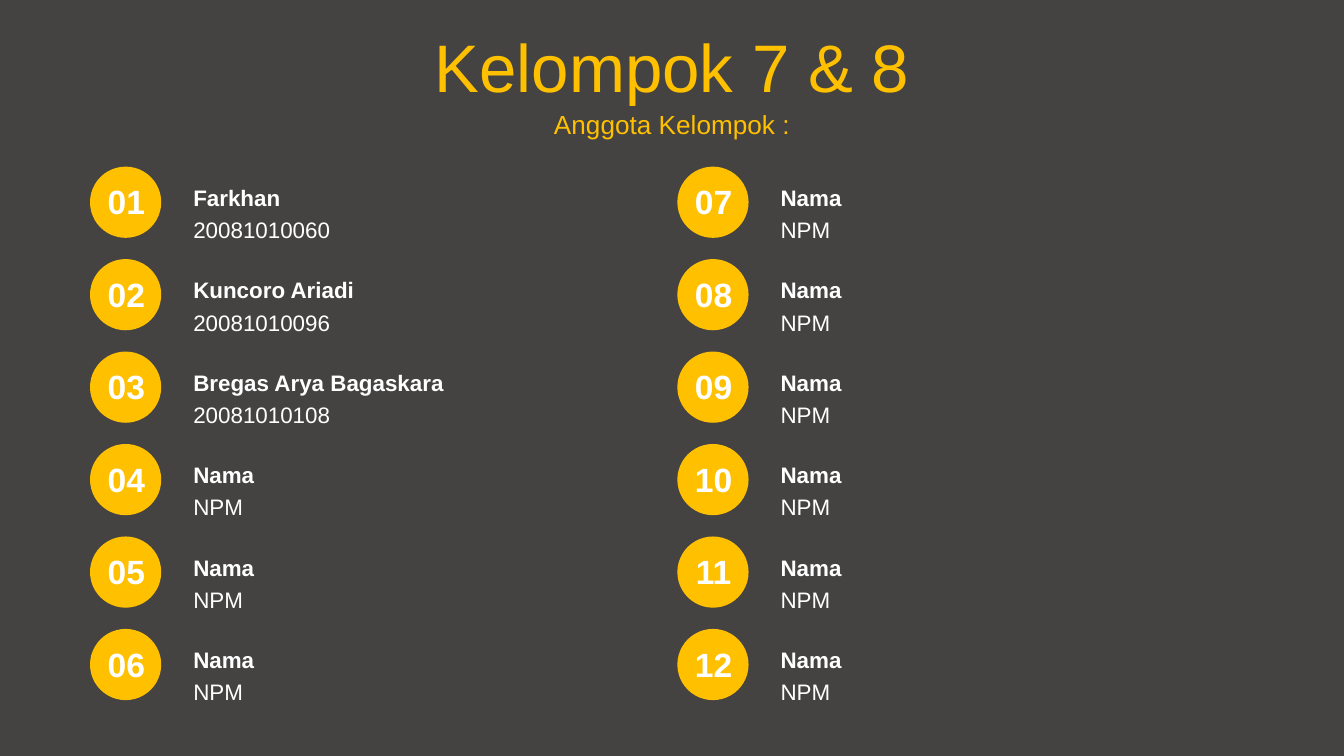
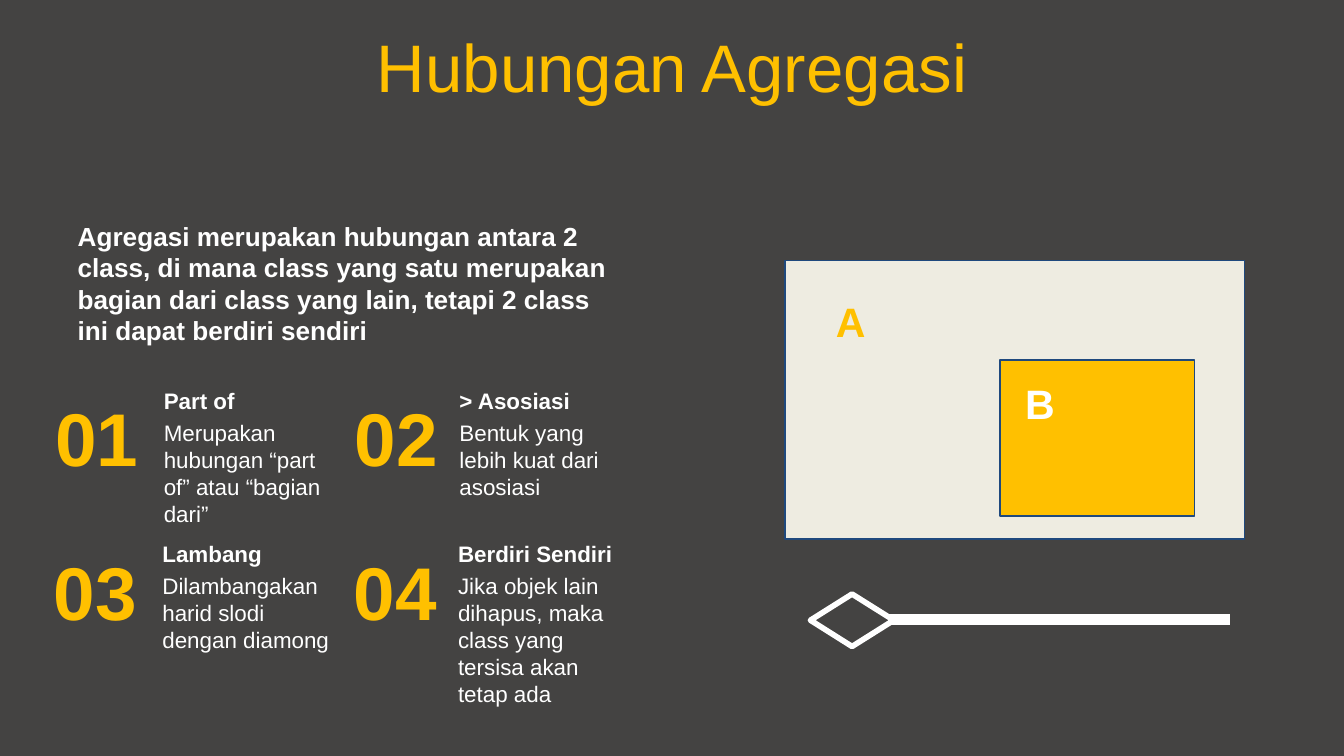
"""Build two dark slides: a group member list and an explanation of aggregation."""
from dataclasses import dataclass
from typing import NamedTuple

from lxml.etree import SubElement
from pptx import Presentation
from pptx.dml.color import RGBColor
from pptx.enum.shapes import MSO_CONNECTOR as Connector, MSO_SHAPE as Preset
from pptx.enum.text import MSO_ANCHOR as Anchor, MSO_AUTO_SIZE as AutoSize, PP_ALIGN as Align
from pptx.oxml.ns import qn
from pptx.shapes.autoshape import Shape
from pptx.shapes.shapetree import _BaseGroupShapes as ShapeTree
from pptx.slide import Slide
from pptx.util import Inches, Pt


@dataclass(frozen=True)
class Theme:
    """Colours, font and type sizes of the deck."""
    background: RGBColor = RGBColor(0x44, 0x43, 0x42)
    accent: RGBColor = RGBColor(0xFF, 0xC0, 0x00)
    light: RGBColor = RGBColor(0xFF, 0xFF, 0xFF)
    panel: RGBColor = RGBColor(0xEE, 0xEC, 0xE1)
    outline: RGBColor = RGBColor(0x1F, 0x49, 0x7D)
    font: str = "Arial"
    title: int = 36
    lead: int = 14
    body: int = 12
    badge: int = 18
    big_number: int = 40
    class_label: int = 22


class Box(NamedTuple):
    """Position and size in inches."""
    left: float
    top: float
    width: float
    height: float

    def lengths(self) -> tuple[Inches, ...]:
        """Give the four values as lengths."""
        return tuple(Inches(value) for value in self)


class TextStyle(NamedTuple):
    """Size, colour and alignment of one text."""
    size: int
    color: RGBColor
    bold: bool = False
    align: Align = Align.LEFT


class Member(NamedTuple):
    """One member of the group."""
    name: str = "Nama"
    student_id: str = "NPM"


class Trait(NamedTuple):
    """One property of aggregation and the lines its text takes."""
    heading: str
    detail: str
    lines: int


class ClassBlock(NamedTuple):
    """A class rectangle with its fill."""
    box: Box
    fill: RGBColor


class ClassLabel(NamedTuple):
    """The letter naming a class."""
    letter: str
    left: float
    top: float
    color: RGBColor


THEME = Theme()
TITLE = TextStyle(THEME.title, THEME.accent, align=Align.CENTER)
SUBTITLE = TextStyle(THEME.lead, THEME.accent, align=Align.CENTER)
LEAD = TextStyle(THEME.lead, THEME.light, bold=True)
HEADING = TextStyle(THEME.body, THEME.light, bold=True)
DETAIL = TextStyle(THEME.body, THEME.light)
BADGE = TextStyle(THEME.badge, THEME.light, True, Align.CENTER)
BIG_NUMBER = TextStyle(THEME.big_number, THEME.accent, True, Align.CENTER)

SLIDE_WIDTH = Inches(10)
SLIDE_HEIGHT = SLIDE_WIDTH * 9 // 16
TITLE_BOX = Box(0, 0.17, 10, 0.63)
SUBTITLE_BOX = Box(0, 0.77, 10, 0.31)
LINE_HEIGHT = 0.3
EXTRA_LINE = 0.2
DETAIL_DROP = 0.24

MEMBERS = [
    Member("Farkhan", "20081010060"),
    Member("Kuncoro Ariadi", "20081010096"),
    Member("Bregas Arya Bagaskara", "20081010108"),
    *[Member()] * 9,
]
MEMBER_ROWS = 6
MEMBER_LEFTS = (0.67, 5.04)
FIRST_MEMBER_TOP, LAST_MEMBER_TOP = 1.24, 4.68
BADGE_SIZE = 0.53

DEFINITION = (
    "Agregasi merupakan hubungan antara 2 class, di mana class yang satu merupakan "
    "bagian dari class yang lain, tetapi 2 class ini dapat berdiri sendiri"
)
TRAITS = [
    Trait("Part of", "Merupakan hubungan “part of” atau “bagian dari”", 4),
    Trait("> Asosiasi", "Bentuk yang lebih kuat dari asosiasi", 3),
    Trait("Lambang", "Dilambangakan harid slodi dengan diamong", 3),
    Trait("Berdiri Sendiri", "Jika objek lain dihapus, maka class yang tersisa akan tetap ada", 5),
]
CLASS_BLOCKS = [
    ClassBlock(Box(5.84, 1.94, 3.42, 2.07), THEME.panel),
    ClassBlock(Box(7.44, 2.68, 1.45, 1.16), THEME.accent),
]
CLASS_LABELS = [
    ClassLabel("A", 6.12, 2.16, THEME.accent),
    ClassLabel("B", 7.53, 2.77, THEME.light),
]


def write_text(holder: Shape, text: str, style: TextStyle) -> None:
    """Write one styled run into the first paragraph."""
    paragraph = holder.text_frame.paragraphs[0]
    paragraph.alignment = style.align
    paragraph.space_before = Pt(0)
    run = paragraph.add_run()
    run.text = text
    run.font.name = THEME.font
    run.font.size = Pt(style.size)
    run.font.bold = style.bold
    run.font.color.rgb = style.color


def add_text(shapes: ShapeTree, box: Box, text: str, style: TextStyle) -> None:
    """Add a wrapping text box that grows with its text."""
    holder = shapes.add_textbox(*box.lengths())
    holder.text_frame.word_wrap = True
    holder.text_frame.auto_size = AutoSize.SHAPE_TO_FIT_TEXT
    write_text(holder, text, style)


def fill_placeholder(holder: Shape, box: Box, text: str, style: TextStyle) -> None:
    """Move a template placeholder and write its text."""
    holder.left, holder.top, holder.width, holder.height = box.lengths()
    holder.text_frame.vertical_anchor = Anchor.MIDDLE
    holder.text_frame.auto_size = AutoSize.NONE
    write_text(holder, text, style)


def add_preset(slide: Slide, preset: Preset, box: Box, fill: RGBColor,
               outline: RGBColor | None = None, weight: float = 0.75) -> None:
    """Add a flat preset shape, outlined if a colour is given."""
    shape = slide.shapes.add_shape(preset, *box.lengths())
    shape.shadow.inherit = False
    shape.fill.solid()
    shape.fill.fore_color.rgb = fill
    if outline is None:
        shape.line.fill.background()
    else:
        shape.line.color.rgb = outline
        shape.line.width = Pt(weight)


def add_caption(slide: Slide, left: float, top: float, width: float,
                heading: str, detail: str, lines: int = 1) -> None:
    """Add a grouped bold heading with its detail below."""
    caption = slide.shapes.add_group_shape().shapes
    detail_height = LINE_HEIGHT + EXTRA_LINE * (lines - 1)
    add_text(caption, Box(left, top + DETAIL_DROP, width, detail_height), detail, DETAIL)
    add_text(caption, Box(left, top, width, LINE_HEIGHT), heading, HEADING)


def add_member(slide: Slide, index: int, member: Member) -> None:
    """Add one numbered member at its place in the two columns."""
    column, row = divmod(index, MEMBER_ROWS)
    left = MEMBER_LEFTS[column]
    top = FIRST_MEMBER_TOP + row * (LAST_MEMBER_TOP - FIRST_MEMBER_TOP) / (MEMBER_ROWS - 1)
    add_caption(slide, left + 0.67, top + 0.08, 2.86, member.name, member.student_id)
    add_preset(slide, Preset.OVAL, Box(left, top, BADGE_SIZE, BADGE_SIZE), THEME.accent)
    add_text(slide.shapes, Box(left - 0.03, top + 0.06, 0.6, 0.4), f"{index + 1:02}", BADGE)


def add_trait(slide: Slide, index: int, trait: Trait) -> None:
    """Add one numbered trait at its place in the two by two grid."""
    row, column = divmod(index, 2)
    top = 2.83 + 1.14 * row
    indent = -0.01 * row
    add_caption(slide, 1.12 + 2.2 * column + indent, top, 1.45, *trait)
    number_box = Box(0.23 + 2.23 * column + indent, top + 0.04, 0.98, 0.77)
    add_text(slide.shapes, number_box, f"{index + 1:02}", BIG_NUMBER)


def add_aggregation_symbol(slide: Slide) -> None:
    """Draw the aggregation line with its hollow diamond."""
    axis = Inches(4.61)
    relation = slide.shapes.add_connector(
        Connector.STRAIGHT, Inches(6.56), axis, Inches(9.15), axis)
    relation.line.color.rgb = THEME.light
    relation.line.width = Pt(6)
    SubElement(relation._element.spPr, qn("a:effectLst"))
    add_preset(slide, Preset.DIAMOND, Box(6.03, 4.42, 0.62, 0.39),
               THEME.background, THEME.light, 3)


def build_members(slide: Slide) -> None:
    """Fill the slide that lists the group members."""
    fill_placeholder(slide.shapes.title, TITLE_BOX, "Kelompok 7 & 8", TITLE)
    fill_placeholder(slide.placeholders[1], SUBTITLE_BOX, "Anggota Kelompok :", SUBTITLE)
    for index, member in enumerate(MEMBERS):
        add_member(slide, index, member)


def build_aggregation(slide: Slide) -> None:
    """Fill the slide that explains aggregation."""
    fill_placeholder(slide.shapes.title, TITLE_BOX, "Hubungan Agregasi", TITLE)
    for index, trait in enumerate(TRAITS):
        add_trait(slide, index, trait)
    add_text(slide.shapes, Box(0.48, 1.59, 4.27, 1.04), DEFINITION, LEAD)
    for block in CLASS_BLOCKS:
        add_preset(slide, Preset.RECTANGLE, block.box, block.fill, THEME.outline)
    for label in CLASS_LABELS:
        add_text(slide.shapes, Box(label.left, label.top, 0.62, 0.47), label.letter,
                 TextStyle(THEME.class_label, label.color, bold=True))
    add_aggregation_symbol(slide)


def main() -> None:
    """Build and save the deck."""
    deck = Presentation()
    deck.slide_width, deck.slide_height = SLIDE_WIDTH, SLIDE_HEIGHT
    backdrop = deck.slide_master.background.fill
    backdrop.solid()
    backdrop.fore_color.rgb = THEME.background
    title_slide, title_only = deck.slide_layouts[0], deck.slide_layouts[5]
    build_members(deck.slides.add_slide(title_slide))
    build_aggregation(deck.slides.add_slide(title_only))
    deck.save("out.pptx")


if __name__ == "__main__":
    main()
